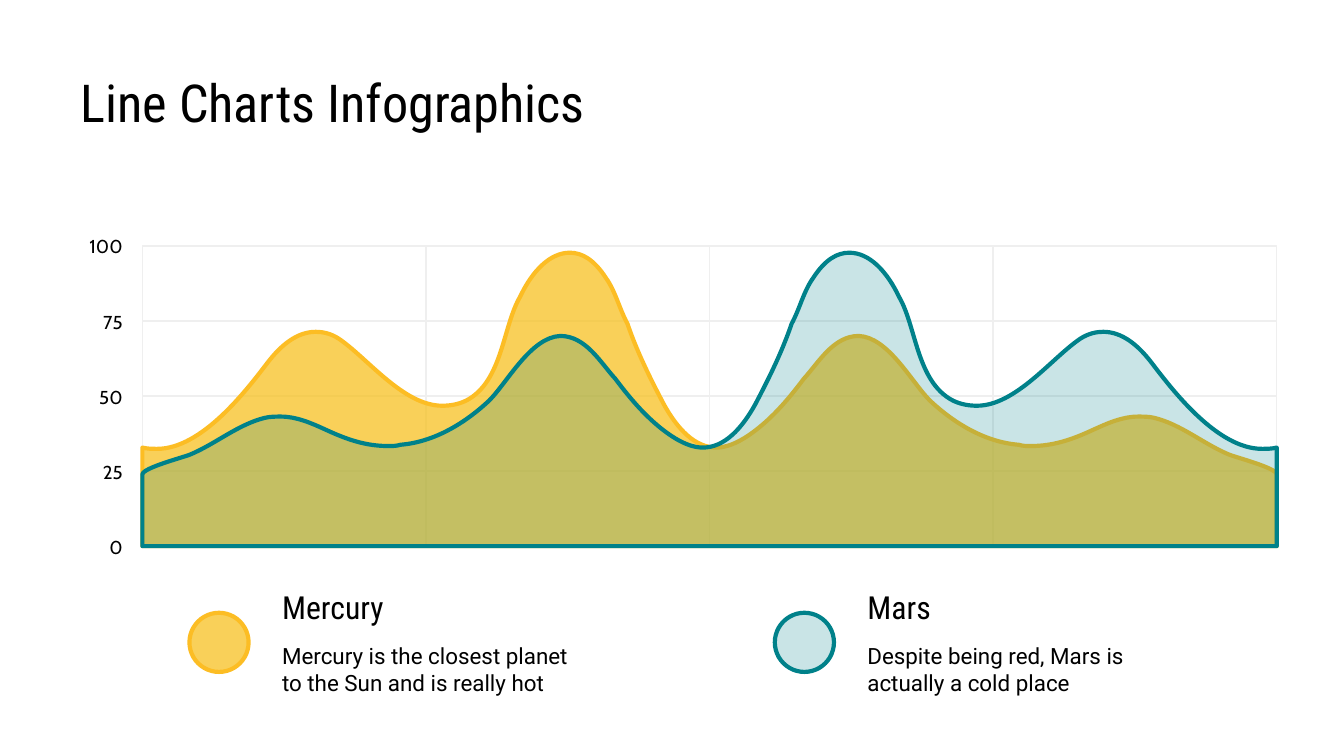
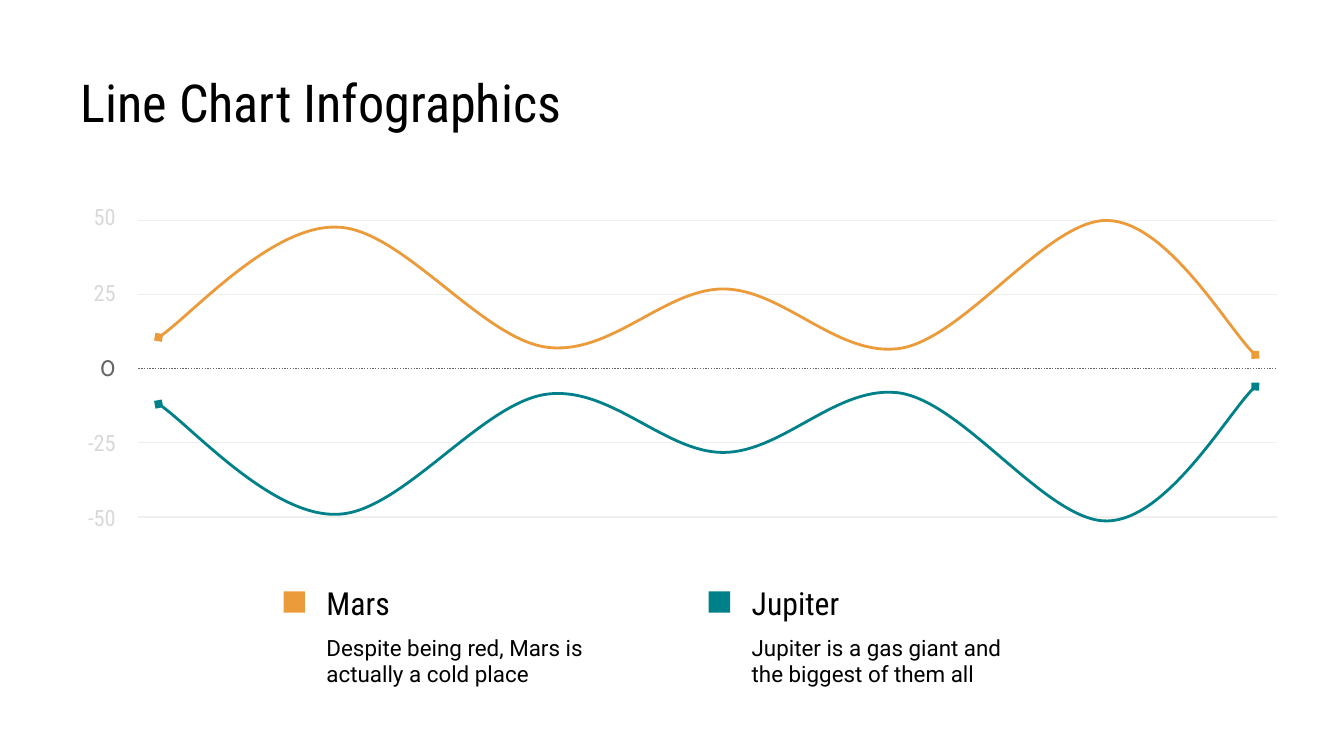
import pptx
import pptx.util
import pptx.dml.color
import pptx.enum.dml
import pptx.enum.shapes
import pptx.enum.text
import pptx.oxml
import pptx.oxml.ns
import lxml.etree

Pt = pptx.util.Pt
RGB = pptx.dml.color.RGBColor.from_string
qn = pptx.oxml.ns.qn
Kind = pptx.enum.shapes.MSO_SHAPE
Align = pptx.enum.text.PP_ALIGN
Anchor = pptx.enum.text.MSO_ANCHOR
STRAIGHT = pptx.enum.shapes.MSO_CONNECTOR.STRAIGHT

HUES = {
    "ink": "000000", "grid": "EFEFEF", "pale": "D9D9D9", "gray": "666666",
    "gold": "F7BE16", "edge": "FCBD24", "teal": "00818A", "amber": "EC9B3B",
}
HEAD, BODY, AXIS = "Roboto Condensed", "Roboto", "Cabin"


def label(slide, box, words, size, font, hue="ink", align=Align.LEFT):
    frame = slide.shapes.add_textbox(*map(Pt, box)).text_frame
    frame.word_wrap = True
    frame.vertical_anchor = Anchor.MIDDLE
    for side in ("left", "right", "top", "bottom"):
        setattr(frame, "margin_" + side, Pt(7.2))
    frame.text = words
    para = frame.paragraphs[0]
    para.alignment = align
    run = para.runs[0]
    run.font.size, run.font.name = Pt(size), font
    run.font.color.rgb = RGB(HUES[hue])


def curve(slide, points, feet=()):
    """Draw Bezier curves: a start, then three points for each curve.

    Feet are corners joined by straight lines that close the area.
    """
    spots = [(Pt(x), Pt(y)) for x, y in [*points, *feet]]
    pen = slide.shapes.build_freeform(*spots[0])
    pen.add_line_segments(spots[1:], close=bool(feet))
    shape = pen.convert_to_shape()
    steps = list(shape._element.iter(qn("a:lnTo")))[:len(points) - 1]
    for i in range(0, len(steps), 3):
        bend = lxml.etree.Element(qn("a:cubicBezTo"))
        steps[i].addprevious(bend)
        for step in steps[i:i + 3]:
            bend.append(step[0])
            step.getparent().remove(step)
    return shape


deck = pptx.Presentation()
deck.slide_width, deck.slide_height = Pt(720), Pt(405)
layout = deck.slide_layouts[5]
base = layout.placeholders[0]
base.left, base.top, base.width, base.height = map(Pt, (36, 30.2, 648, 45.4))

slides = []
for words in ("Line Charts Infographics", "Line Chart Infographics"):
    slide = deck.slides.add_slide(layout)
    frame = slide.shapes.title.text_frame
    frame.text = words
    frame.auto_size = pptx.enum.text.MSO_AUTO_SIZE.NONE
    frame.vertical_anchor = Anchor.TOP
    for side in ("left", "right", "top", "bottom"):
        setattr(frame, "margin_" + side, Pt(7.2))
    para = frame.paragraphs[0]
    para.alignment = Align.LEFT
    font = para.runs[0].font
    font.size, font.name = Pt(28), HEAD
    font.color.rgb = RGB(HUES["ink"])
    slides.append(slide)
areas, waves = slides

# Slide 1: two filled areas over a grid
left, right, top, floor = 76.3, 684, 131.8, 292.6
for i, mark in enumerate(("100", "75", "50", "25", "0")):
    label(areas, (36, 120.2 + 40.2 * i, 36.7, 23.8), mark, 10, AXIS,
          align=Align.RIGHT)

row, col = (floor - top) / 4, (right - left) / 4
rules = [(left, top + row * i, right, top + row * i) for i in (1, 2, 3)]
rules += [(left + col * i, top, left + col * i, floor) for i in (1, 2, 3)]
for ends in rules:
    rule = areas.shapes.add_connector(STRAIGHT, *map(Pt, ends))
    rule.line.color.rgb, rule.line.width = RGB(HUES["grid"]), Pt(0.75)
frame = areas.shapes.add_shape(
    Kind.RECTANGLE, *map(Pt, (left, top, right - left, floor - top)))
frame.fill.background()
frame.line.color.rgb, frame.line.width = RGB(HUES["grid"]), Pt(0.75)

HILLS = [
    (left, 239.8),
    (79.2, 240.5), (81.4, 240.5), (84.2, 240.5),
    (108, 240.5), (131.8, 209.5), (143.3, 194.4),
    (150.5, 185), (159.1, 177.8), (169.2, 177.8),
    (172.8, 177.8), (177.1, 178.6), (181.4, 181.4),
    (196.6, 191.5), (216, 217.4), (236.9, 217.4),
    (241.2, 217.4), (245.5, 216.7), (249.8, 214.6),
    (269.3, 204.5), (269.3, 175), (278.6, 159.1),
    (285.1, 145.4), (294.5, 135.4), (305.3, 135.4),
    (311.8, 135.4), (318.2, 139), (324.7, 149),
    (329.8, 156.2), (331.9, 165.6), (336.2, 173.5),
    (341.3, 188.6), (348.5, 203), (355.7, 216.7),
    (362.9, 229.7), (372.2, 239.8), (383.8, 239.8),
    (388.8, 239.8), (394.6, 237.6), (401, 233.3),
    (412.6, 225.4), (421.9, 214.6), (430.6, 203),
    (438.5, 194.4), (446.4, 180), (460.1, 180),
    (475.9, 180.7), (488.2, 204.5), (498.2, 214.6),
    (511.2, 226.8), (527.8, 236.9), (545.8, 238.3),
    (547.9, 239), (550.1, 239), (552.2, 239),
    (564.5, 239), (574.6, 235.4), (585.4, 230.4),
    (593.3, 226.8), (601.2, 223.2), (609.8, 223.2),
    (612.7, 223.2), (615.6, 223.2), (618.5, 223.9),
    (632.9, 227.5), (644.4, 237.6), (658.1, 243.4),
    (661, 244.8), (right, 250.6), (right, 254.2),
]
FEET = [(right, floor), (left, floor)]
planets = [
    ("Mercury", "Mercury is the closest planet to the Sun and is really hot",
     "gold", "edge", 71),
    ("Mars", "Despite being red, Mars is actually a cold place",
     "teal", "teal", 21),
]
for i, (name, fact, hue, edge, alpha) in enumerate(planets):
    shift = 313.6 * i
    label(areas, (144 + shift, 313.2, 192, 23.8), name, 17, HEAD)
    label(areas, (144 + shift, 342.7, 176.4, 31.7), fact, 12, BODY)
    dot = areas.shapes.add_shape(
        Kind.OVAL, *map(Pt, (101.5 + shift, 328.3, 31.7, 31.7)))
    # Mars mirrors Mercury from left to right
    hills, feet = HILLS, FEET
    if i:
        hills, feet = ([(left + right - x, y) for x, y in part]
                       for part in (HILLS, FEET))
    for shape in (dot, curve(areas, hills, feet)):
        shape.fill.solid()
        shape.fill.fore_color.rgb = RGB(HUES[hue])
        tint = shape._element.spPr.find(qn("a:solidFill"))[0]
        lxml.etree.SubElement(tint, qn("a:alpha"), val=str(alpha * 1000))
        shape.line.color.rgb, shape.line.width = RGB(HUES[edge]), Pt(2.25)

# Slide 2: two lines that mirror each other about zero
for i, mark in enumerate(("50", "25", "0", "-25", "-50")):
    zero = mark == "0"
    label(waves, (36, 104.4 + 40.2 * i, 33.1, 23.8), mark, 12,
          AXIS if zero else HEAD, "gray" if zero else "pale", Align.RIGHT)
    y = 118.1 + 39.7 * i
    rule = waves.shapes.add_connector(
        STRAIGHT, *map(Pt, (74.2, y, right, y)))
    rule.line.color.rgb = RGB(HUES["gray" if zero else "grid"])
    rule.line.width = Pt(0.75)
    if zero:
        rule.line.dash_style = pptx.enum.dml.MSO_LINE.ROUND_DOT

WAVE = [
    (85, 180.7),
    (100.8, 170.6), (146.2, 120.2), (180.7, 121.7),
    (214.6, 122.4), (257, 180), (291.6, 185.8),
    (326.2, 191.5), (355.7, 154.8), (387.4, 154.8),
    (419.8, 154.8), (449.3, 192.2), (483.1, 186.5),
    (517.7, 180), (561.6, 117.4), (593.3, 118.1),
    (625, 118.8), (659.5, 178.6), (672.5, 190.1),
]
planets = [
    ("Mars", "Despite being red, Mars is actually a cold place", "amber"),
    ("Jupiter", "Jupiter is a gas giant and the biggest of them all", "teal"),
]
for i, (name, fact, hue) in enumerate(planets):
    shift = 227.8 * i
    label(waves, (167.8 + shift, 311, 157, 23.8), name, 17, HEAD)
    label(waves, (167.8 + shift, 334.1, 157, 39.6), fact, 12, BODY)
    key = waves.shapes.add_shape(
        Kind.RECTANGLE, *map(Pt, (151.9 + shift, 316.8, 11.5, 11.5)))
    key.fill.solid()
    key.fill.fore_color.rgb = RGB(HUES[hue])
    key.line.fill.background()
    wave = curve(waves, [(x, 397.2 - y if i else y) for x, y in WAVE])
    wave.fill.background()
    wave.line.color.rgb, wave.line.width = RGB(HUES[hue]), Pt(1.5)
    for end in ("a:headEnd", "a:tailEnd"):
        lxml.etree.SubElement(wave.line._get_or_add_ln(), qn(end),
                              type="diamond")

# No shape casts a shadow
for slide in slides:
    for shape in slide.shapes:
        if shape.shape_type == pptx.enum.shapes.MSO_SHAPE_TYPE.LINE:
            lxml.etree.SubElement(shape._element.spPr, qn("a:effectLst"))
        elif not shape.is_placeholder:
            shape.shadow.inherit = False

deck.save("out.pptx")
